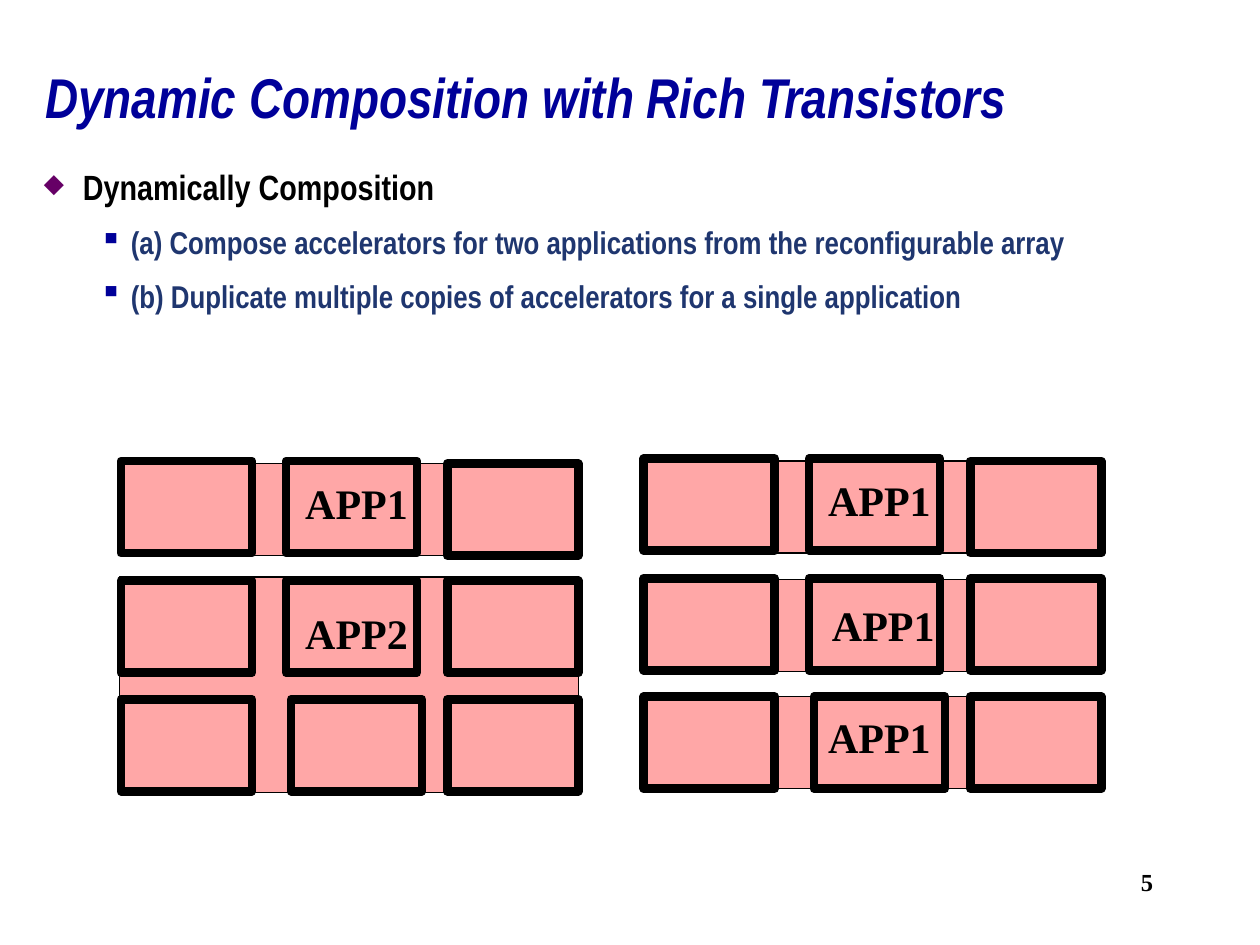
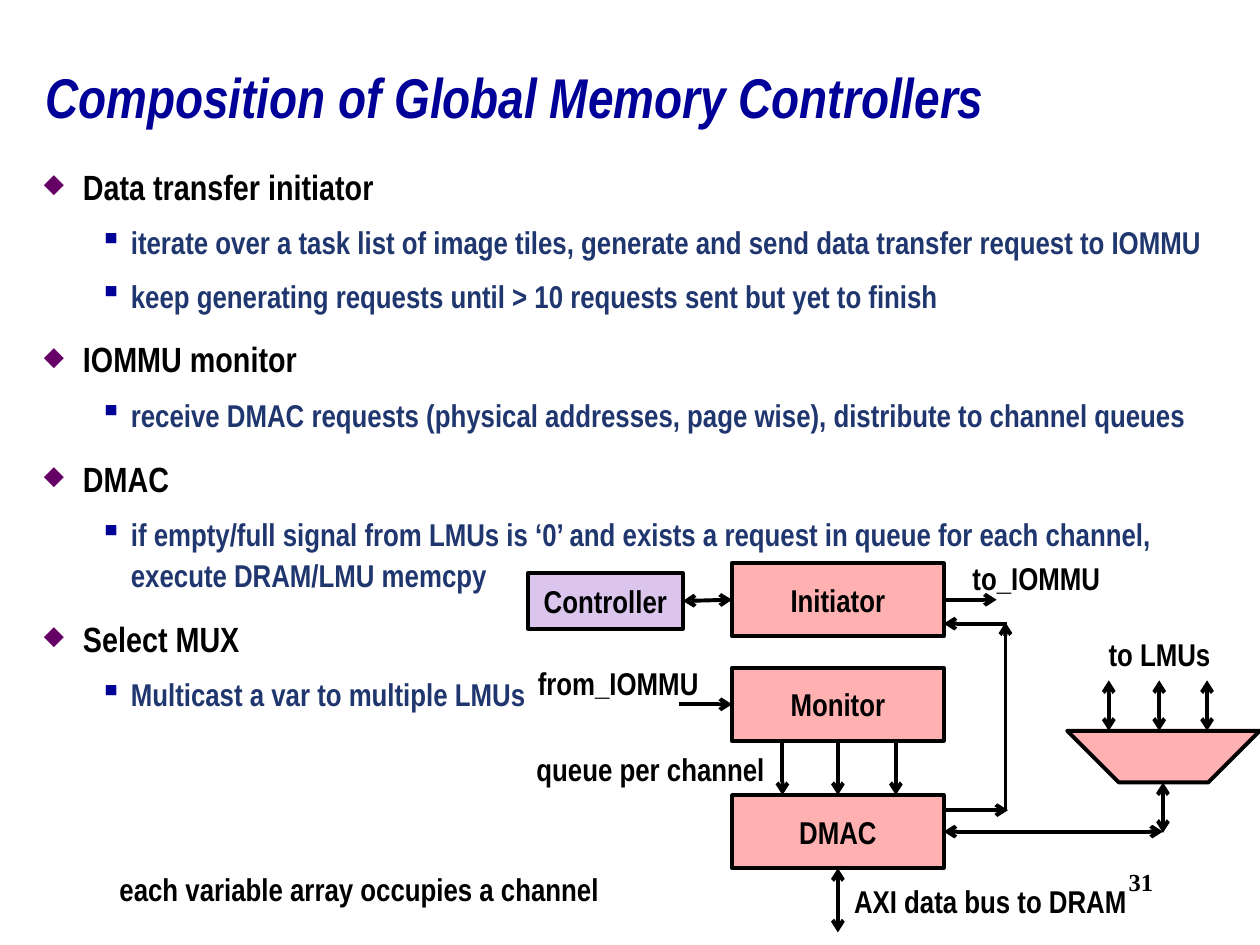
import pptx
import pptx.util
import pptx.dml.color
import pptx.enum.shapes
import pptx.enum.text
import pptx.oxml.ns
from lxml import etree

Inches = pptx.util.Inches
Pt = pptx.util.Pt
ALIGN = pptx.enum.text.PP_ALIGN
ANCHOR = pptx.enum.text.MSO_ANCHOR
RECTANGLE = pptx.enum.shapes.MSO_SHAPE.RECTANGLE
STRAIGHT = pptx.enum.shapes.MSO_CONNECTOR.STRAIGHT
TOP, LEFT, BOTTOM, RIGHT = range(4)

SANS = "Arial Narrow"
SERIF = "Times New Roman"
BLACK = "000000"
NAVY = "000099"
SLATE = "1F366F"
PURPLE = "660066"
ROSE = "FFA7A7"
PINK = "FFB0B0"
LILAC = "DCC5ED"

BULLETS = [
    dict(char="◆", color=PURPLE, scale=75, margin=0.31, indent=-0.31,
         size=20, ink=BLACK, spacing=1.25, before=7.5),
    dict(char="▪", color=NAVY, scale=100, margin=0.69, indent=-0.25,
         size=18, ink=SLATE, spacing=1.1, before=6.8),
]


def rgb(value):
    return pptx.dml.color.RGBColor.from_string(value)


def child(parent, tag, **attributes):
    return etree.SubElement(parent, pptx.oxml.ns.qn(tag), attributes)


def add_run(paragraph, text, size, color=BLACK, font=SANS, italic=False):
    run = paragraph.add_run()
    run.text = text
    run.font.name = font
    run.font.size = Pt(size)
    run.font.bold = True
    run.font.italic = italic
    run.font.color.rgb = rgb(color)


def add_frame(slide, left, top, width, height, wrap=True):
    frame = slide.shapes.add_textbox(
        Inches(left), Inches(top), Inches(width), Inches(height)).text_frame
    frame.word_wrap = wrap
    return frame


def add_label(slide, text, left, top, width, height=0.4, size=18, font=SANS,
              align=ALIGN.LEFT, wrap=True):
    paragraph = add_frame(slide, left, top, width, height, wrap).paragraphs[0]
    paragraph.alignment = align
    add_run(paragraph, text, size, font=font)


def paint(shape, fill, weight):
    shape.shadow.inherit = False
    if fill:
        shape.fill.solid()
        shape.fill.fore_color.rgb = rgb(fill)
    else:
        shape.fill.background()
    shape.line.color.rgb = rgb(BLACK)
    shape.line.width = Pt(weight)


def add_box(slide, left, top, width, height, fill, weight, text=None):
    box = slide.shapes.add_shape(
        RECTANGLE, Inches(left), Inches(top), Inches(width), Inches(height))
    paint(box, fill, weight)
    if text:
        box.text_frame.vertical_anchor = ANCHOR.MIDDLE
        paragraph = box.text_frame.paragraphs[0]
        paragraph.alignment = ALIGN.CENTER
        add_run(paragraph, text, 18)
    return box


def add_arrow(slide, start, end, both=False, tip=True, begin=None, finish=None):
    arrow = slide.shapes.add_connector(
        STRAIGHT, *(Inches(value) for value in (*start, *end)))
    if begin:
        arrow.begin_connect(*begin)
    if finish:
        arrow.end_connect(*finish)
    arrow.line.color.rgb = rgb(BLACK)
    arrow.line.width = Pt(2.25)
    line = arrow.line._get_or_add_ln()
    if both:
        child(line, "a:headEnd", type="arrow")
    if tip:
        child(line, "a:tailEnd", type="arrow")
    child(arrow._element.spPr, "a:effectLst")


def add_title(slide, text):
    frame = add_frame(slide, 0.26, 0.43, 9, 0.74)
    frame.vertical_anchor = ANCHOR.MIDDLE
    frame.paragraphs[0].line_spacing = 0.9
    add_run(frame.paragraphs[0], text, 32, NAVY, italic=True)


def add_page_number(slide, number):
    add_label(slide, number, 7.17, 6.83, 2.08, 0.5, 14, SERIF, ALIGN.RIGHT)


def add_outline(slide, items, width, height):
    frame = add_frame(slide, 0.25, 1.18, width, height)
    for position, (level, text) in enumerate(items):
        style = BULLETS[level]
        paragraph = frame.add_paragraph() if position else frame.paragraphs[0]
        paragraph.level = level
        paragraph.line_spacing = style["spacing"]
        paragraph.space_before = Pt(style["before"] if position else 0)
        properties = paragraph._p.get_or_add_pPr()
        properties.set("marL", str(Inches(style["margin"])))
        properties.set("indent", str(Inches(style["indent"])))
        child(child(properties, "a:buClr"), "a:srgbClr", val=style["color"])
        child(properties, "a:buSzPct", val=str(style["scale"] * 1000))
        child(properties, "a:buChar", char=style["char"])
        add_run(paragraph, text, style["size"], style["ink"])


def start_slide(deck, title, number, items, width, height):
    slide = deck.slides.add_slide(deck.slide_layouts[6])
    add_page_number(slide, number)
    add_outline(slide, items, width, height)
    add_title(slide, title)
    return slide


def add_accelerator_array(slide, left, top, bands, apps):
    for x, y, width, height in bands:
        add_box(slide, left + x, top + y, width, height, ROSE, 0.75)
    for row, y in enumerate((0, 0.95, 1.89)):
        middle = 1.35 if row == 2 else 1.31
        for column, x in enumerate((0, middle, 2.59)):
            drop = 0.02 if (row, column) == (0, 2) else 0
            add_box(slide, left + x, top + y + drop, 1.04, 0.73, None, 5)
    for app, x, y in apps:
        add_label(slide, app, left + x, top + y, 1.24, 0.5, 24, SERIF,
                  ALIGN.CENTER)


def add_mux(slide, left, top):
    width, height, slant = 1.53, 0.41, 0.41
    outline = slide.shapes.build_freeform(
        Inches(left), Inches(top), scale=1.0)
    outline.add_line_segments([
        (Inches(left + x), Inches(top + y)) for x, y in
        ((width, 0), (width - slant, height), (slant, height))], close=True)
    paint(outline.convert_to_shape(), PINK, 2.25)
    for x in (0.33, 0.73, 1.11):
        add_arrow(slide, (left + x, top), (left + x, top - 0.4), both=True)
    add_label(slide, "to LMUs", left + 0.23, top - 0.81, 1.01, wrap=False)


def add_memory_controller(slide, left, top):
    def at(x, y):
        return left + x, top + y

    def block(text, x, y, width=1.68, height=0.58, fill=PINK):
        return add_box(slide, *at(x, y), width, height, fill, 2.25, text)

    controller = block("Controller", 0, 0.08, 1.23, 0.44, LILAC)
    initiator = block("Initiator", 1.62, 0)
    monitor = block("Monitor", 1.62, 0.83)
    dmac = block("DMAC", 1.62, 1.84)
    add_mux(slide, *at(4.28, 1.33))

    add_arrow(slide, at(1.23, 0.3), at(1.62, 0.29), both=True,
              begin=(controller, RIGHT), finish=(initiator, LEFT))
    add_arrow(slide, at(3.3, 0.29), at(3.72, 0.29), begin=(initiator, RIGHT))
    add_arrow(slide, at(1.2, 1.12), at(1.62, 1.12), finish=(monitor, LEFT))
    add_arrow(slide, at(2.46, 1.41), at(2.46, 1.84),
              begin=(monitor, BOTTOM), finish=(dmac, TOP))
    for x in (2.02, 2.92):
        add_arrow(slide, at(x, 1.41), at(x, 1.84))
    add_arrow(slide, at(2.46, 2.42), at(2.46, 2.93), both=True,
              begin=(dmac, BOTTOM))
    add_arrow(slide, at(5.04, 2.13), at(3.3, 2.13), both=True,
              finish=(dmac, RIGHT))
    add_arrow(slide, at(5.04, 2.14), at(5.04, 1.74), both=True)
    add_arrow(slide, at(3.3, 1.96), at(3.81, 1.96))
    add_arrow(slide, at(3.79, 1.96), at(3.79, 0.47))
    add_arrow(slide, at(3.8, 0.48), at(3.3, 0.48))

    for text, x, y, width in (
            ("to_IOMMU", 3.43, -0.08, 1.26),
            ("from_IOMMU", -0.02, 0.75, 1.54),
            ("queue per channel", -0.03, 1.43, 2.04),
            ("AXI data bus to DRAM", 2.49, 2.48, 2.53),
            ("each variable array occupies a channel", -3.34, 2.39, 4.77)):
        add_label(slide, text, *at(x, y), width)


def build_composition_slide(deck):
    slide = start_slide(deck, "Dynamic Composition with Rich Transistors", "5", [
        (0, "Dynamically Composition"),
        (1, "(a) Compose accelerators for two applications from the "
            "reconfigurable array"),
        (1, "(b) Duplicate multiple copies of accelerators for a single "
            "application"),
    ], 9.51, 5.69)
    add_accelerator_array(
        slide, 0.96, 3.66,
        [(0, 0.02, 3.63, 0.73), (-0.01, 0.92, 3.64, 1.71)],
        [("APP1", 1.25, 0.08), ("APP2", 1.25, 1.11)])
    add_accelerator_array(
        slide, 5.11, 3.64,
        [(0, y, 3.62, 0.73) for y in (0.02, 0.96, 1.89)],
        [("APP1", 1.25, 0.08), ("APP1", 1.28, 1.07), ("APP1", 1.25, 1.96)])


def build_controllers_slide(deck):
    slide = start_slide(deck, "Composition of Global Memory Controllers", "31", [
        (0, "Data transfer initiator"),
        (1, "iterate over a task list of image tiles, generate and send data "
            "transfer request to IOMMU"),
        (1, "keep generating requests until > 10 requests sent but yet to "
            "finish"),
        (0, "IOMMU monitor"),
        (1, "receive DMAC requests (physical addresses, page wise), "
            "distribute to channel queues"),
        (0, "DMAC"),
        (1, "if empty/full signal from LMUs is ‘0’ and exists a request in "
            "queue for each channel, execute DRAM/LMU memcpy"),
        (0, "Select MUX"),
        (1, "Multicast a var to multiple LMUs"),
    ], 9.75, 4.59)
    add_memory_controller(slide, 4.19, 4.47)


def main():
    deck = pptx.Presentation()
    deck.slide_width = Inches(10)
    deck.slide_height = Inches(7.5)
    build_composition_slide(deck)
    build_controllers_slide(deck)
    deck.save("out.pptx")


if __name__ == "__main__":
    main()
